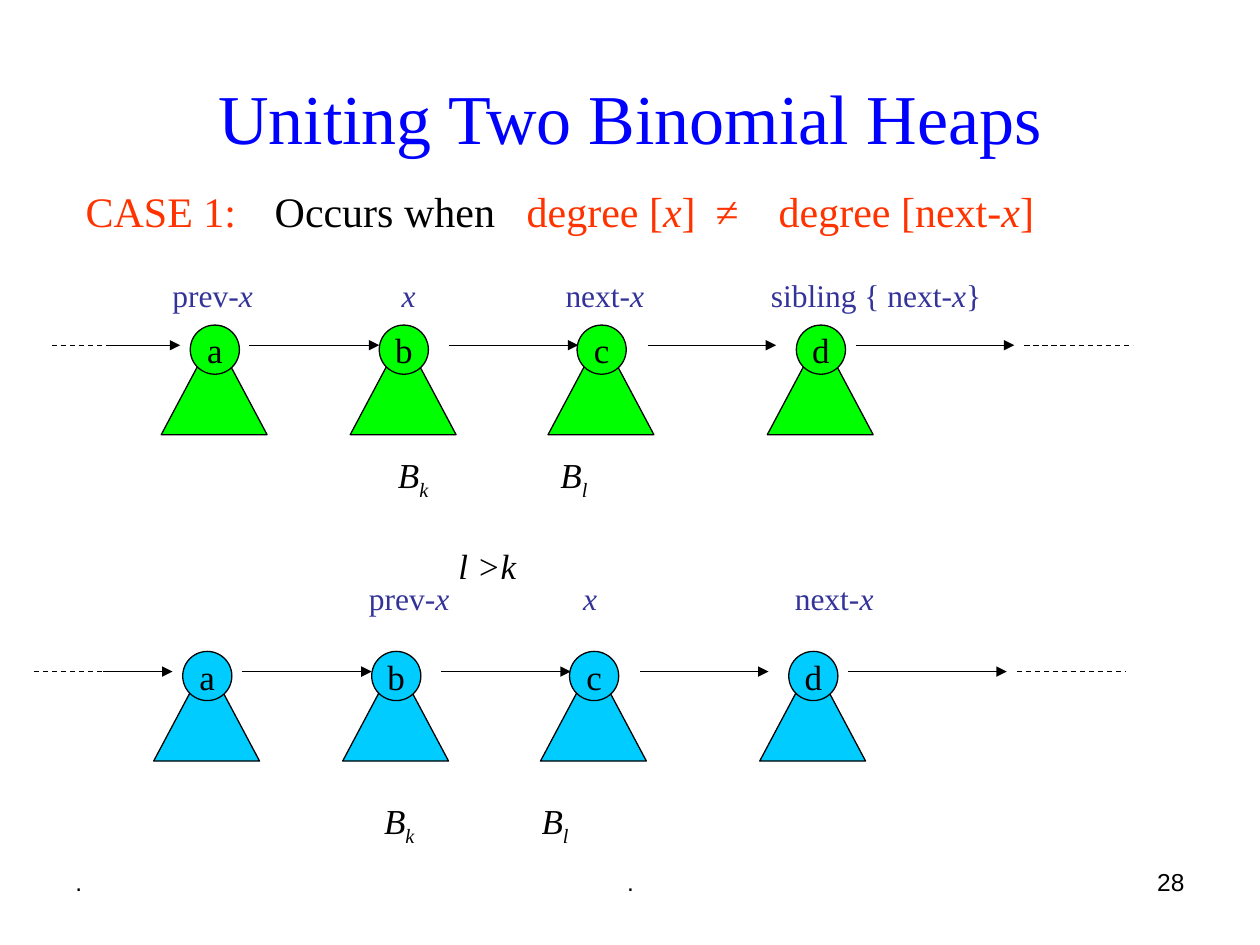
from dataclasses import dataclass

from lxml.etree import SubElement
from pptx import Presentation
from pptx.dml.color import RGBColor
from pptx.enum.dml import MSO_LINE_DASH_STYLE as DASH
from pptx.enum.shapes import MSO_CONNECTOR as LINK, MSO_SHAPE as SHAPE
from pptx.enum.text import MSO_ANCHOR as ANCHOR, MSO_AUTO_SIZE as FIT, PP_ALIGN as ALIGN
from pptx.oxml.ns import qn
from pptx.util import Inches, Pt


@dataclass(frozen=True)
class Theme:
    serif: str = "Times New Roman"
    sans: str = "Arial"
    black: str = "000000"
    title: str = "0000FF"
    accent: str = "FF3300"
    pointer: str = "333399"
    before: str = "00FF00"
    after: str = "00CCFF"
    title_size: int = 40
    case_size: int = 24
    node_size: int = 20
    pointer_size: int = 18
    footer_size: int = 14
    outline: float = 0.75


THEME = Theme()
ITALIC = {"italic": True}
SUBSCRIPT = {"italic": True, "subscript": True}
NODE_LEFTS = {"a": 1.51, "b": 3.01, "c": 4.58, "d": 6.32}
ARROWS = [(0.88, 1.43), (1.98, 3.01), (3.56, 4.59), (5.14, 6.16), (6.79, 8.05)]


def rgb(code):
    return RGBColor.from_string(code)


def write(frame, segments, size=THEME.node_size, color=THEME.black, font=THEME.serif,
          align=ALIGN.LEFT, anchor=ANCHOR.TOP, wrap=True, tabs=()):
    frame.auto_size = FIT.NONE
    frame.word_wrap = wrap
    frame.vertical_anchor = anchor
    frame.margin_left = frame.margin_right = Inches(0.1)
    frame.margin_top = frame.margin_bottom = Inches(0.05)
    paragraph = frame.paragraphs[0]
    properties = paragraph._p.get_or_add_pPr()
    properties.set("marL", "0")
    properties.set("indent", "0")
    SubElement(properties, qn("a:buNone"))
    if tabs:
        stops = SubElement(properties, qn("a:tabLst"))
        for stop in tabs:
            SubElement(stops, qn("a:tab"), pos=str(Inches(stop)), algn="l")
    paragraph.alignment = align
    paragraph.space_before = Pt(0)
    for words, style in segments:
        run = paragraph.add_run()
        run.text = words
        run.font.name = font
        run.font.size = Pt(size)
        run.font.italic = style.get("italic", False)
        run.font.color.rgb = rgb(style.get("color", color))
        if style.get("subscript"):
            run.font._element.set("baseline", "-25000")


def place(element, left, top, width, height):
    element.left, element.top = Inches(left), Inches(top)
    element.width, element.height = Inches(width), Inches(height)


def add_label(slide, left, top, segments, width=2.4, height=0.4, **style):
    label = slide.shapes.add_textbox(
        Inches(left), Inches(top), Inches(width), Inches(height))
    write(label.text_frame, segments, **style)


def add_line(slide, start, end, y, arrow=False):
    line = slide.shapes.add_connector(
        LINK.STRAIGHT, Inches(start), Inches(y), Inches(end), Inches(y))
    line.line.color.rgb = rgb(THEME.black)
    line.line.width = Pt(THEME.outline)
    if arrow:
        SubElement(line.line._get_or_add_ln(), qn("a:tailEnd"), type="triangle")
    else:
        line.line.dash_style = DASH.DASH
    SubElement(line._element.spPr, qn("a:effectLst"))


def add_filled(slide, kind, left, top, width, height, fill):
    shape = slide.shapes.add_shape(
        kind, Inches(left), Inches(top), Inches(width), Inches(height))
    shape.shadow.inherit = False
    shape.fill.solid()
    shape.fill.fore_color.rgb = rgb(fill)
    shape.line.color.rgb = rgb(THEME.black)
    shape.line.width = Pt(THEME.outline)
    return shape


def add_tree(slide, name, left, top, fill):
    add_filled(slide, SHAPE.ISOSCELES_TRIANGLE, left - 0.23, top + 0.08, 0.84, 0.79, fill)
    root = add_filled(slide, SHAPE.OVAL, left, top, 0.39, 0.39, fill)
    write(root.text_frame, [(name, {})], align=ALIGN.CENTER,
          anchor=ANCHOR.MIDDLE, wrap=False)


def add_root_list(slide, shift, top, fill, lead, trail):
    link_y = top + 0.16
    for start, end in (lead, trail):
        add_line(slide, start, end, link_y)
    for start, end in ARROWS:
        add_line(slide, start + shift, end + shift, link_y, arrow=True)
    for name, left in NODE_LEFTS.items():
        add_tree(slide, name, left + shift, top, fill)


def add_pointers(slide, top, pointers):
    for left, prefix, suffix in pointers:
        add_label(slide, left, top, [(prefix, {}), ("x", ITALIC), (suffix, {})],
                  size=THEME.pointer_size, color=THEME.pointer)


def add_orders(slide, top, orders):
    for left, order in orders:
        add_label(slide, left, top, [("B", ITALIC), (order, SUBSCRIPT)], width=0.7)


def add_heading(slide):
    title, case = slide.placeholders
    place(title, 0.5, 0.3, 9, 1.25)
    write(title.text_frame, [("Uniting Two Binomial Heaps", {})], size=THEME.title_size,
          color=THEME.title, align=ALIGN.CENTER, anchor=ANCHOR.MIDDLE)
    place(case, 0.58, 1.42, 9.21, 0.55)
    write(case.text_frame, [
        ("CASE 1:", {}),
        ("\tOccurs when", {"color": THEME.black}),
        ("\tdegree [", {}), ("x", ITALIC),
        ("]\t≠\tdegree [next-", {}), ("x", ITALIC), ("]", {}),
    ], size=THEME.case_size, color=THEME.accent, tabs=(1.45, 3.36, 4.88, 5.22))


def add_footer(slide):
    for left, width, words, align in [
        (0.5, 2.33, ".", ALIGN.LEFT),
        (3.42, 3.17, ".", ALIGN.CENTER),
        (7.17, 2.33, "28", ALIGN.RIGHT),
    ]:
        add_label(slide, left, 6.83, [(words, {})], width=width, height=0.52,
                  size=THEME.footer_size, font=THEME.sans, align=align)


def main():
    deck = Presentation()
    deck.slide_width, deck.slide_height = Inches(10), Inches(7.5)
    slide = deck.slides.add_slide(deck.slide_layouts[1])
    add_heading(slide)

    add_pointers(slide, 2.14, [(1.27, "prev-", ""), (3.09, "", ""),
                               (4.39, "next-", ""), (6.02, "sibling { next-", "}")])
    add_root_list(slide, 0, 2.58, THEME.before, (0.41, 1.04), (8.13, 8.99))
    add_orders(slide, 3.55, [(3.06, "k"), (4.35, "l")])
    add_label(slide, 3.54, 4.27, [("l >k", ITALIC)], width=0.8)

    add_pointers(slide, 4.55, [(2.83, "prev-", ""), (4.53, "", ""), (6.21, "next-", "")])
    add_root_list(slide, -0.06, 5.17, THEME.after, (0.27, 1.14), (8.07, 8.94))
    add_orders(slide, 6.3, [(2.95, "k"), (4.2, "l")])

    add_footer(slide)
    deck.save("out.pptx")


if __name__ == "__main__":
    main()
